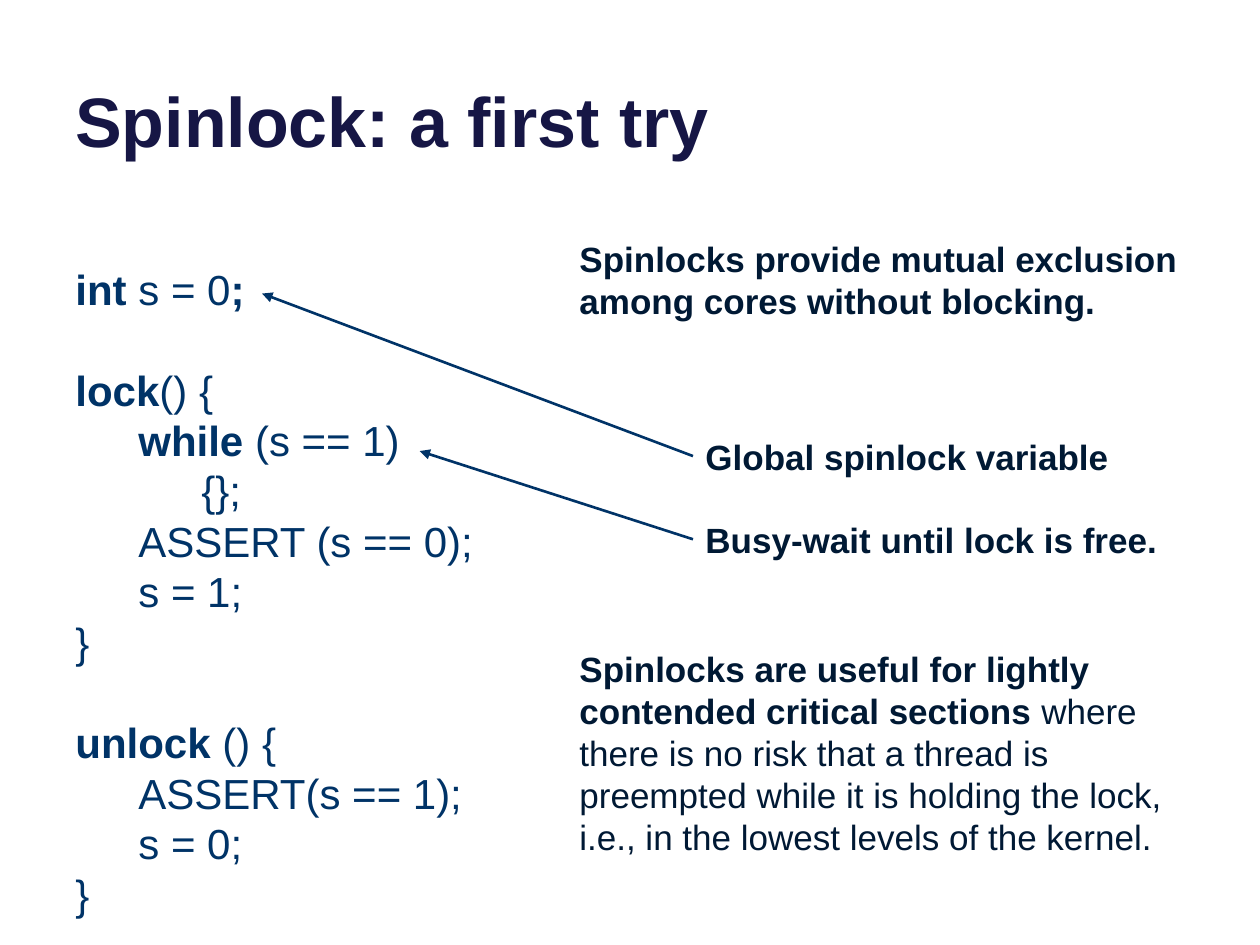
"""Build the slide that introduces a first spinlock implementation."""
import pptx
import pptx.dml.color
import pptx.enum.shapes
import pptx.enum.text
import pptx.oxml.ns
import pptx.util
from lxml import etree

Inches, Pt = pptx.util.Inches, pptx.util.Pt
ANCHOR = pptx.enum.text.MSO_ANCHOR
FONT = "Arial"
LINE_FACTOR = 1.2
TAB_STOPS = (0.5, 1.0)
COLORS = {"title": "161645", "code": "003367", "note": "001934"}

TITLE = [[("Spinlock: a first try", True)]]
CODE_SECTIONS = [
    [[("int ", True), ("s = 0", False), (";", True)]],
    [
        [("lock", True), ("() {", False)],
        [("\t", False), ("while", True), (" (s == 1)", False)],
        [("\t\t{};", False)],
        [("\tASSERT (s == 0);", False)],
        [("\ts = 1;", False)],
        [("}", False)],
    ],
    [
        [("unlock ", True), ("() {", False)],
        [("\tASSERT(s == 1);", False)],
        [("\ts = 0;", False)],
        [("}", False)],
    ],
]
NOTES = [
    ((4.5, 1.83, 5.42, 0.77),
     [[("Spinlocks provide mutual exclusion among cores without blocking.", True)]]),
    ((4.5, 5.08, 4.92, 1.78),
     [[("Spinlocks are useful for lightly contended critical sections", True),
       (" where there is no risk that a thread is preempted while it is holding "
        "the lock, i.e., in the lowest levels of the kernel.", False)]]),
]
CALLOUTS = [
    ("Busy-wait until lock is free.", 4.06, (3.33, 3.58)),
    ("Global spinlock variable", 3.4, (2.08, 2.33)),
]


def rgb(name):
    return pptx.dml.color.RGBColor.from_string(COLORS[name])


def add_sub(parent, tag, **attrs):
    return etree.SubElement(parent, pptx.oxml.ns.qn(tag), **attrs)


def add_text(slide, paragraphs, box, size=20, color="note",
             anchor=ANCHOR.MIDDLE, tabs=(), gaps=()):
    sp = slide.shapes.add_textbox(*map(Inches, box))
    tf = sp.text_frame
    tf.word_wrap = True
    tf.vertical_anchor = anchor
    pitch = Pt(size * LINE_FACTOR)
    for i, runs in enumerate(paragraphs):
        p = tf.paragraphs[0] if i == 0 else tf.add_paragraph()
        p.line_spacing = pitch
        if i in gaps:
            p.space_before = pitch
        if tabs:
            stops = add_sub(p._p.get_or_add_pPr(), "a:tabLst")
            for stop in tabs:
                add_sub(stops, "a:tab", pos=str(Inches(stop)), algn="l")
        for text, bold in runs:
            r = p.add_run()
            r.text = text
            r.font.name = FONT
            r.font.size = Pt(size)
            r.font.bold = bold
            r.font.color.rgb = rgb(color)
    return sp


def add_arrow(slide, label, target):
    x, y = map(Inches, target)
    line = slide.shapes.add_connector(
        pptx.enum.shapes.MSO_CONNECTOR.STRAIGHT, label.left, label.top, x, y)
    line.begin_connect(label, 1)
    line.line.color.rgb = rgb("code")
    line.line.width = Pt(1.5)
    add_sub(line.line._get_or_add_ln(), "a:tailEnd", type="triangle")
    add_sub(line._element.spPr, "a:effectLst")


def main():
    prs = pptx.Presentation()
    prs.slide_width, prs.slide_height = Inches(10), Inches(7.5)
    slide = prs.slides.add_slide(prs.slide_layouts[6])

    add_text(slide, TITLE, (0.5, -0.37, 9, 1.7), size=40, color="title",
             anchor=ANCHOR.BOTTOM)

    code, gaps = [], []
    for section in CODE_SECTIONS:
        if code:
            gaps.append(len(code))
        code += section
    add_text(slide, code, (0.5, 2.04, 5.01, 5.35), size=24, color="code",
             anchor=ANCHOR.TOP, tabs=TAB_STOPS, gaps=gaps)

    for text, top, target in CALLOUTS:
        label = add_text(slide, [[(text, True)]], (5.5, top, 4.08, 0.44))
        add_arrow(slide, label, target)
    for box, paragraphs in NOTES:
        add_text(slide, paragraphs, box)

    prs.save("out.pptx")


if __name__ == "__main__":
    main()
